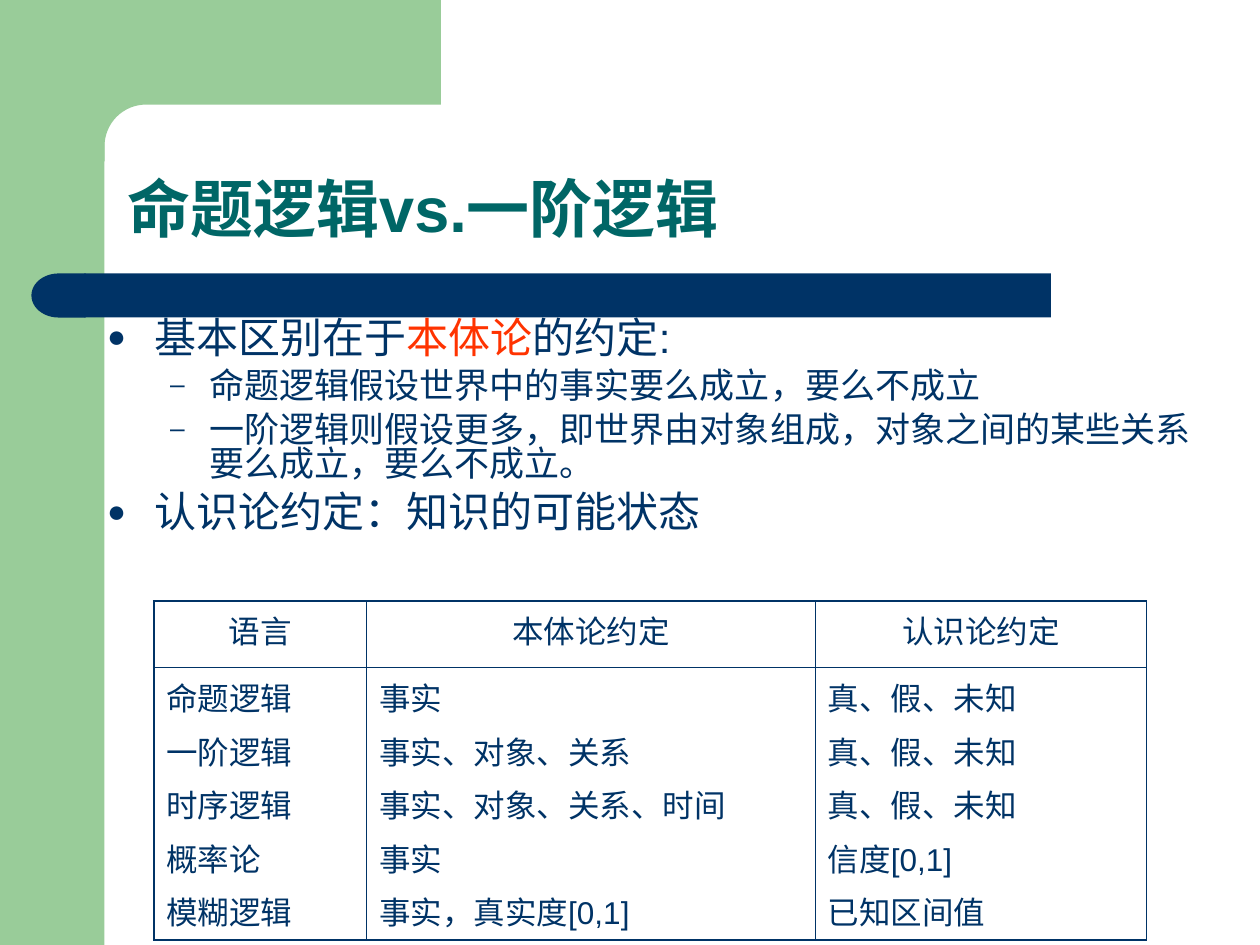
import math
from dataclasses import dataclass

import pptx
import pptx.dml.color
import pptx.enum.shapes
import pptx.enum.text
import pptx.oxml
import pptx.oxml.ns
import pptx.util
from pptx.util import Inches

NAVY, GREEN, TEAL, RED = "003366", "99CC99", "006666", "FF3300"
THICK, THIN = 1.08, 0.45
KIND = pptx.enum.shapes.MSO_SHAPE
ALIGN = pptx.enum.text.PP_ALIGN
ANCHOR = pptx.enum.text.MSO_ANCHOR


@dataclass
class Block:
    kind: int
    left: float
    top: float
    width: float
    height: float
    color: str
    flip: bool = False


@dataclass
class Item:
    runs: list
    size: int
    level: int = 0


@dataclass
class Style:
    mark: str
    left: float
    hang: float
    gap: float


BLOCKS = [
    Block(KIND.RECTANGLE, 0, 0, 0.83, 7.5, GREEN),
    Block(KIND.RECTANGLE, 0.67, 2.17, 7.67, 0.35, NAVY),
    Block(KIND.FLOWCHART_DELAY, 0.25, 2.17, 0.43, 0.35, NAVY, True),
]
STYLES = [Style("●", 0.38, 0.38, 6), Style("–", 0.81, 0.31, 5)]
ITEMS = [
    Item([("基本区别在于", NAVY), ("本体论", RED), ("的约定:", NAVY)], 24),
    Item([("命题逻辑假设世界中的事实要么成立，要么不成立", NAVY)], 20, 1),
    Item([("一阶逻辑则假设更多，即世界由对象组成，对象之间的某些关系要么成立，要么不成立。", NAVY)], 20, 1),
    Item([("认识论约定：知识的可能状态", NAVY)], 24),
]
HEADS = ["语言", "本体论约定", "认识论约定"]
ROWS = [
    ("命题逻辑", "事实", "真、假、未知"),
    ("一阶逻辑", "事实、对象、关系", "真、假、未知"),
    ("时序逻辑", "事实、对象、关系、时间", "真、假、未知"),
    ("概率论", "事实", "信度[0,1]"),
    ("模糊逻辑", "事实，真实度[0,1]", "已知区间值"),
]


def tint(code: str):
    return pptx.dml.color.RGBColor.from_string(code)


def write(para, text: str, size: float = 18, color: str = NAVY, bold: bool = False) -> None:
    run = para.add_run()
    run.text = text
    font = run.font
    font.name, font.size, font.bold = "Arial", pptx.util.Pt(size), bold
    font.color.rgb = tint(color)


def lines(frame, count: int) -> list:
    return [frame.paragraphs[0]] + [frame.add_paragraph() for _ in range(count - 1)]


def place(shape, left: float, top: float, width: float, height: float) -> None:
    shape.left, shape.top = Inches(left), Inches(top)
    shape.width, shape.height = Inches(width), Inches(height)


def paint(shape, color: str) -> None:
    shape.shadow.inherit = False
    shape.fill.solid()
    shape.fill.fore_color.rgb = tint(color)
    shape.line.fill.background()


def draw(shapes, block: Block) -> None:
    shape = shapes.add_shape(block.kind, Inches(block.left), Inches(block.top),
                             Inches(block.width), Inches(block.height))
    paint(shape, block.color)
    if block.flip:
        shape._element.spPr.xfrm.set("flipH", "1")


def corner(shapes) -> None:
    mid, radius, steps = 1.16, 0.33, 16
    turns = [math.pi / 2 * i / steps for i in range(steps + 1)]
    arc = [(mid - radius * math.sin(t), mid - radius * math.cos(t)) for t in turns]
    points = [(3.5, 0.83), *arc, (0.83, 1.28), (0.5, 1.28), (0.5, 0)]
    path = shapes.build_freeform(Inches(3.5), 0)
    path.add_line_segments([(Inches(x), Inches(y)) for x, y in points])
    paint(path.convert_to_shape(), GREEN)


def node(parent, tag: str, **attrs: str):
    child = pptx.oxml.ns.qn(tag)
    item = parent.makeelement(child, attrs)
    parent.append(item)
    return item


def bullet(para, style: Style) -> None:
    props = para._p.get_or_add_pPr()
    props.set("marL", str(Inches(style.left)))
    props.set("indent", str(-Inches(style.hang)))
    node(node(props, "a:buClr"), "a:srgbClr", val=NAVY)
    node(props, "a:buSzPct", val="75000")
    node(props, "a:buFont", typeface="Arial")
    node(props, "a:buChar", char=style.mark)


def head(title) -> None:
    place(title, 0.91, 0.91, 8.51, 1.09)
    frame = title.text_frame
    frame.auto_size = pptx.enum.text.MSO_AUTO_SIZE.NONE
    frame.vertical_anchor = ANCHOR.BOTTOM
    para = frame.paragraphs[0]
    para.alignment, para.line_spacing = ALIGN.LEFT, 0.9
    write(para, "命题逻辑vs.一阶逻辑", size=36, color=TEAL, bold=True)


def outline(body) -> None:
    place(body, 0.75, 2.49, 9.07, 2.44)
    frame = body.text_frame
    frame.auto_size = pptx.enum.text.MSO_AUTO_SIZE.NONE
    for i, (para, item) in enumerate(zip(lines(frame, len(ITEMS)), ITEMS)):
        style = STYLES[item.level]
        para.level = item.level
        bullet(para, style)
        para.line_spacing = 0.83
        para.space_before = pptx.util.Pt(style.gap if i else 0)
        for text, color in item.runs:
            write(para, text, size=item.size, color=color)


def border(cell, sides: dict) -> None:
    props = cell._tc.get_or_add_tcPr()
    for side, width in sides.items():
        line = node(props, f"a:ln{side}", w=str(pptx.util.Pt(width)))
        node(node(line, "a:solidFill"), "a:srgbClr", val=NAVY)


def fill(cell, texts: list, align) -> None:
    for i, (para, text) in enumerate(zip(lines(cell.text_frame, len(texts)), texts)):
        para.alignment = align
        para.space_before = pptx.util.Pt(4.5 if i else 0)
        write(para, text)


def grid(shapes) -> None:
    frame = shapes.add_table(2, 3, Inches(1.22), Inches(4.77), Inches(7.88), Inches(2.4))
    table = frame.table
    table.first_row = table.horz_banding = False
    for row, height in zip(table.rows, (0.53, 1.87)):
        row.height = Inches(height)
    for c, width in enumerate((1.69, 3.56, 2.63)):
        table.columns[c].width = Inches(width)
        parts = [([HEADS[c]], ALIGN.CENTER), ([row[c] for row in ROWS], ALIGN.LEFT)]
        for r, (texts, align) in enumerate(parts):
            cell = table.cell(r, c)
            fill(cell, texts, align)
            border(cell, {"L": THIN if c else THICK, "R": THICK if c == 2 else THIN,
                          "T": THIN if r else THICK, "B": THICK if r else THIN})
            cell.fill.background()


def main() -> None:
    deck = pptx.Presentation()
    deck.slide_width, deck.slide_height = Inches(10), Inches(7.5)
    slide = deck.slides.add_slide(deck.slide_layouts[1])
    shapes = slide.shapes
    title, body = shapes.title, slide.placeholders[1]
    draw(shapes, BLOCKS[0])
    corner(shapes)
    for block in BLOCKS[1:]:
        draw(shapes, block)
    head(title)
    outline(body)
    for holder in (title, body):
        shapes._spTree.append(holder._element)
    grid(shapes)
    deck.save("out.pptx")


if __name__ == "__main__":
    main()
